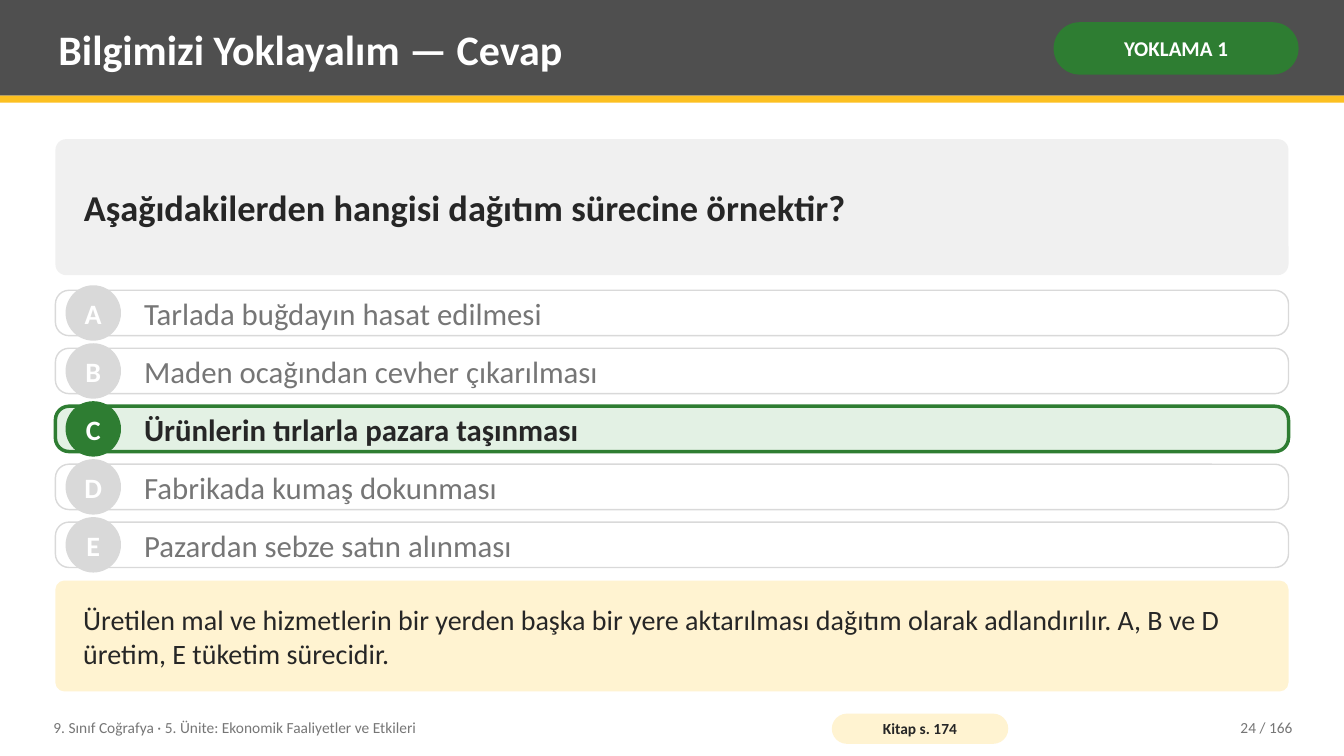
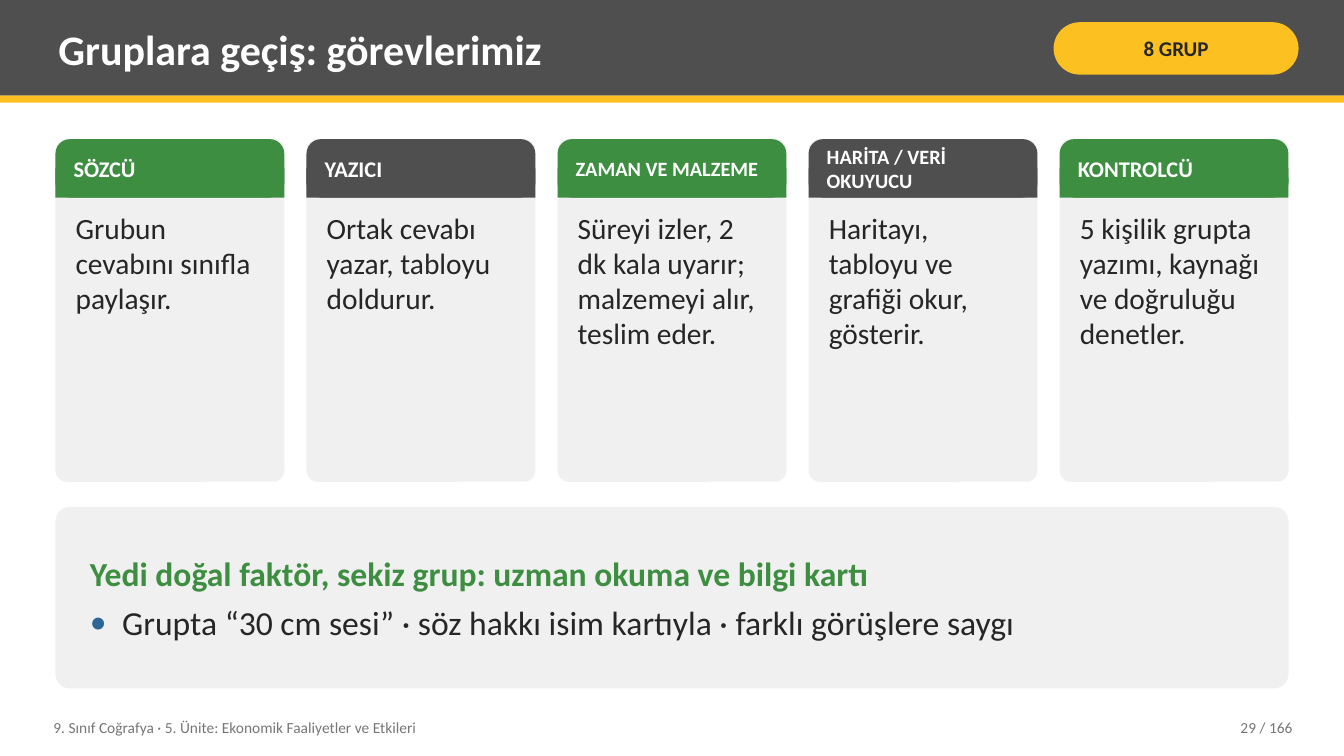
from dataclasses import dataclass

from lxml import etree
from pptx import Presentation
from pptx.dml.color import RGBColor
from pptx.enum.shapes import MSO_SHAPE
from pptx.enum.text import MSO_ANCHOR, PP_ALIGN
from pptx.oxml.ns import qn
from pptx.util import Inches, Pt

RECTANGLE = MSO_SHAPE.RECTANGLE
ROUNDED = MSO_SHAPE.ROUNDED_RECTANGLE
OVAL = MSO_SHAPE.OVAL
LEFT, CENTER, RIGHT = PP_ALIGN.LEFT, PP_ALIGN.CENTER, PP_ALIGN.RIGHT
TOP, MIDDLE = MSO_ANCHOR.TOP, MSO_ANCHOR.MIDDLE


@dataclass(frozen=True)
class Theme:
    font: str = "Calibri"
    dark: str = "4F4F4F"
    yellow: str = "FCC021"
    pale_yellow: str = "FFF3D1"
    green: str = "3E8E41"
    answer_green: str = "2E7D32"
    pale_green: str = "E3F1E4"
    panel: str = "F0F0F0"
    outline: str = "D9D9D9"
    ink: str = "262626"
    muted: str = "767676"
    blue: str = "2C6696"
    white: str = "FFFFFF"
    title_size: float = 30
    question_size: float = 26
    summary_size: float = 24
    option_size: float = 22
    card_size: float = 21
    note_size: float = 20
    card_title_size: float = 16
    long_card_title_size: float = 14.5
    badge_size: float = 15
    footer_size: float = 11


THEME = Theme()
SLIDE_WIDTH, SLIDE_HEIGHT = 13.33, 7.5
MARGIN = 0.55
CONTENT_WIDTH = 12.23
CONTENT_TOP = 1.38
TEXT_INSETS = (0.08, 0.04)
PANEL_INSETS = (0.25, 0.08)


def add_shape(slide, kind, position, fill, corner=None, line=None, line_width=1):
    shape = slide.shapes.add_shape(kind, *map(Inches, position))
    shape.shadow.inherit = False
    shape.fill.solid()
    shape.fill.fore_color.rgb = RGBColor.from_string(fill)
    if corner is not None:
        shape.adjustments[0] = corner
    if line:
        shape.line.color.rgb = RGBColor.from_string(line)
        shape.line.width = Pt(line_width)
    else:
        shape.line.fill.background()
    return shape


def write(shape, text, size, color, bold=False, align=LEFT, anchor=MIDDLE,
          insets=TEXT_INSETS):
    """Append a paragraph to the shape, filling the empty first one, and return it."""
    frame = shape.text_frame
    frame.word_wrap = True
    frame.vertical_anchor = anchor
    frame.margin_left = frame.margin_right = Inches(insets[0])
    frame.margin_top = frame.margin_bottom = Inches(insets[1])
    paragraph = frame.add_paragraph() if frame.text else frame.paragraphs[0]
    paragraph.text = text
    paragraph.alignment = align
    paragraph.font.name = THEME.font
    paragraph.font.size = Pt(size)
    paragraph.font.bold = bold
    paragraph.font.color.rgb = RGBColor.from_string(color)
    return paragraph


presentation = Presentation()
presentation.slide_width = Inches(SLIDE_WIDTH)
presentation.slide_height = Inches(SLIDE_HEIGHT)
blank_layout = presentation.slide_layouts[6]

# Shared header and footer
headers = [
    ("Bilgimizi Yoklayalım — Cevap", "YOKLAMA 1", THEME.answer_green, THEME.white, "24 / 166"),
    ("Gruplara geçiş: görevlerimiz", "8 GRUP", THEME.yellow, THEME.ink, "29 / 166"),
]
for title, badge_text, badge_fill, badge_color, page in headers:
    slide = presentation.slides.add_slide(blank_layout)
    add_shape(slide, RECTANGLE, (0, 0, SLIDE_WIDTH, 0.95), THEME.dark)
    add_shape(slide, RECTANGLE, (0, 0.95, SLIDE_WIDTH, 0.07), THEME.yellow)
    title_box = slide.shapes.add_textbox(*map(Inches, (0.5, 0.07, 9.75, 0.82)))
    write(title_box, title, THEME.title_size, THEME.white, bold=True)
    badge = add_shape(slide, ROUNDED, (10.45, 0.22, 2.43, 0.52), badge_fill, corner=0.5)
    write(badge, badge_text, THEME.badge_size, badge_color, bold=True, align=CENTER,
          insets=(0.05, 0.02))
    course_box = slide.shapes.add_textbox(*map(Inches, (0.45, 7.04, 7.6, 0.36)))
    write(course_box, "9. Sınıf Coğrafya · 5. Ünite: Ekonomik Faaliyetler ve Etkileri",
          THEME.footer_size, THEME.muted)
    page_box = slide.shapes.add_textbox(*map(Inches, (11.3, 7.04, 1.6, 0.36)))
    write(page_box, page, THEME.footer_size, THEME.muted, align=RIGHT)

answer_slide, roles_slide = presentation.slides

# Question with its answer
question = add_shape(answer_slide, ROUNDED, (MARGIN, CONTENT_TOP, CONTENT_WIDTH, 1.35),
                     THEME.panel, corner=0.08)
write(question, "Aşağıdakilerden hangisi dağıtım sürecine örnektir?",
      THEME.question_size, THEME.ink, bold=True, insets=PANEL_INSETS)

options = {
    "A": "Tarlada buğdayın hasat edilmesi",
    "B": "Maden ocağından cevher çıkarılması",
    "C": "Ürünlerin tırlarla pazara taşınması",
    "D": "Fabrikada kumaş dokunması",
    "E": "Pazardan sebze satın alınması",
}
correct_letter = "C"
option_top, option_pitch, option_height = 2.88, 0.575, 0.45
circle_size = 0.55
for index, (letter, option) in enumerate(options.items()):
    top = option_top + index * option_pitch
    correct = letter == correct_letter
    accent = THEME.answer_green if correct else THEME.outline
    add_shape(answer_slide, ROUNDED, (MARGIN, top, CONTENT_WIDTH, option_height),
              THEME.pale_green if correct else THEME.white, corner=0.3,
              line=accent, line_width=2.5 if correct else 1)
    circle_top = top - (circle_size - option_height) / 2
    circle = add_shape(answer_slide, OVAL, (0.65, circle_top, circle_size, circle_size), accent)
    write(circle, letter, THEME.note_size, THEME.white, bold=True, align=CENTER, insets=(0, 0))
    option_box = answer_slide.shapes.add_textbox(*map(Inches, (1.35, top, 11.23, option_height)))
    write(option_box, option, THEME.option_size, THEME.ink if correct else THEME.muted,
          bold=correct)

explanation = add_shape(answer_slide, ROUNDED, (MARGIN, 5.76, CONTENT_WIDTH, 1.1),
                        THEME.pale_yellow, corner=0.08)
write(explanation,
      "Üretilen mal ve hizmetlerin bir yerden başka bir yere aktarılması dağıtım olarak "
      "adlandırılır. A, B ve D üretim, E tüketim sürecidir.",
      THEME.note_size, THEME.ink, insets=PANEL_INSETS)
book_page = add_shape(answer_slide, ROUNDED, (8.25, 7.08, 1.75, 0.3), THEME.pale_yellow,
                      corner=0.5)
write(book_page, "Kitap s. 174", THEME.footer_size, THEME.ink, bold=True, align=CENTER,
      insets=(0.04, 0))

# Role cards
roles = [
    ("SÖZCÜ", THEME.card_title_size, "Grubun cevabını sınıfla paylaşır."),
    ("YAZICI", THEME.card_title_size, "Ortak cevabı yazar, tabloyu doldurur."),
    ("ZAMAN VE MALZEME", THEME.long_card_title_size,
     "Süreyi izler, 2 dk kala uyarır; malzemeyi alır, teslim eder."),
    ("HARİTA / VERİ OKUYUCU", THEME.long_card_title_size,
     "Haritayı, tabloyu ve grafiği okur, gösterir."),
    ("KONTROLCÜ", THEME.card_title_size,
     "5 kişilik grupta yazımı, kaynağı ve doğruluğu denetler."),
]
card_gap = 0.22
card_width = (CONTENT_WIDTH - card_gap * (len(roles) - 1)) / len(roles)
head_height = 0.58
for index, (role, role_size, duty) in enumerate(roles):
    left = MARGIN + index * (card_width + card_gap)
    head_fill = THEME.dark if index % 2 else THEME.green
    add_shape(roles_slide, ROUNDED, (left, CONTENT_TOP, card_width, 3.4), THEME.panel,
              corner=0.05)
    add_shape(roles_slide, ROUNDED, (left, CONTENT_TOP, card_width, head_height), head_fill,
              corner=0.25)
    add_shape(roles_slide, RECTANGLE,
              (left, CONTENT_TOP + head_height / 2, card_width, head_height / 2), head_fill)
    role_box = roles_slide.shapes.add_textbox(
        *map(Inches, (left + 0.1, CONTENT_TOP, card_width - 0.2, head_height)))
    write(role_box, role, role_size, THEME.white, bold=True)
    duty_box = roles_slide.shapes.add_textbox(
        *map(Inches, (left + 0.12, 2.04, card_width - 0.24, 2.66)))
    write(duty_box, duty, THEME.card_size, THEME.ink, anchor=TOP)

# Group rules
rules = add_shape(roles_slide, ROUNDED, (MARGIN, 5.03, CONTENT_WIDTH, 1.8), THEME.panel,
                  corner=0.08)
heading = write(rules, "Yedi doğal faktör, sekiz grup: uzman okuma ve bilgi kartı",
                THEME.summary_size, THEME.green, bold=True, insets=(0.3, 0.08))
heading.space_after = Pt(6)
rule = write(rules, "Grupta “30 cm sesi” · söz hakkı isim kartıyla · farklı görüşlere saygı",
             THEME.summary_size, THEME.ink, insets=(0.3, 0.08))
properties = rule._p.get_or_add_pPr()
properties.set("marL", str(Inches(0.32)))
properties.set("indent", str(Inches(-0.32)))
bullet_color = etree.Element(qn("a:buClr"))
etree.SubElement(bullet_color, qn("a:srgbClr"), val=THEME.blue)
bullet_font = etree.Element(qn("a:buFont"), typeface=THEME.font)
bullet_character = etree.Element(qn("a:buChar"), char="•")
for position, element in enumerate((bullet_color, bullet_font, bullet_character)):
    properties.insert(position, element)

presentation.save("out.pptx")
